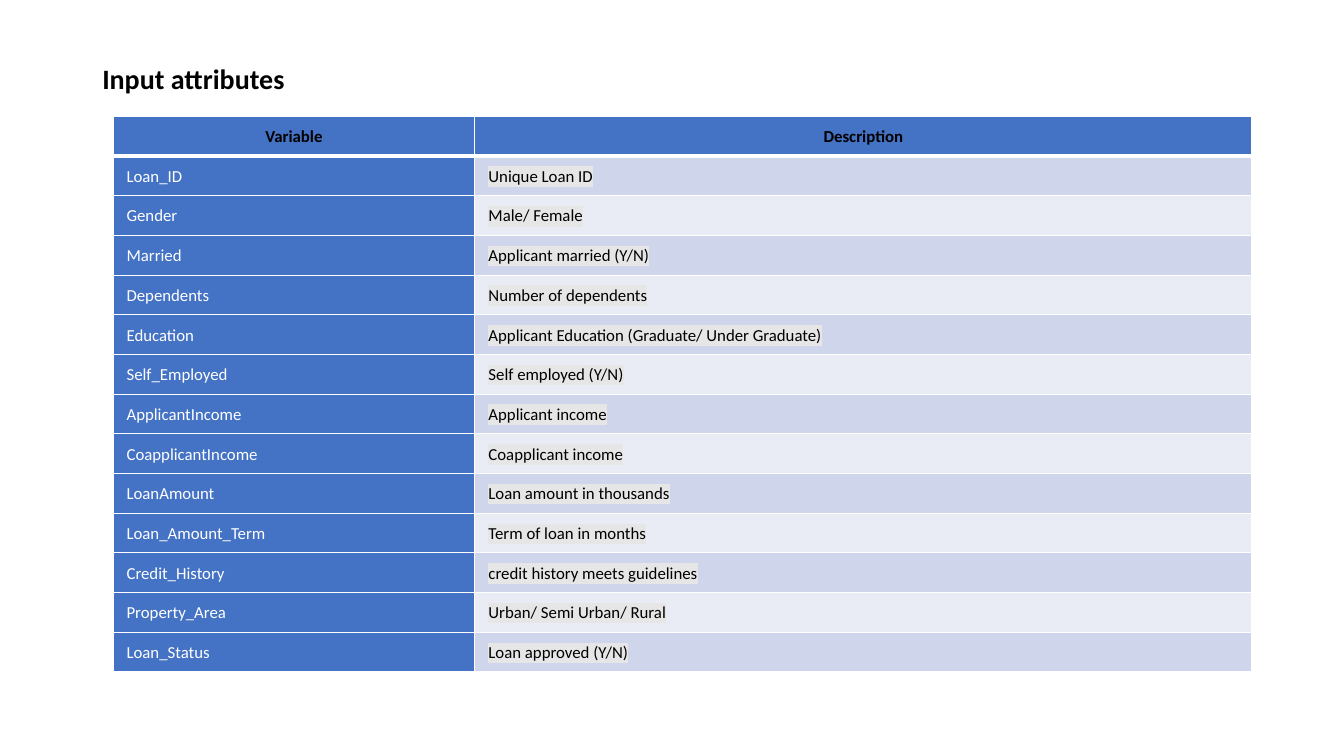
import pptx
import pptx.dml.color
import pptx.enum.text
import pptx.oxml
import pptx.oxml.ns
import pptx.util

Pt = pptx.util.Pt
FONT = "Calibri"
COLORS = {
    "black": "000000",
    "white": "FFFFFF",
    "blue": "4472C4",
    "band_dark": "CFD5EA",
    "band_light": "E9EBF5",
    "highlight": "E7E6E6",
}
ATTRIBUTES = [
    ("Variable", "Description"),
    ("Loan_ID", "Unique Loan ID"),
    ("Gender", "Male/ Female"),
    ("Married", "Applicant married (Y/N)"),
    ("Dependents", "Number of dependents"),
    ("Education", "Applicant Education (Graduate/ Under Graduate)"),
    ("Self_Employed", "Self employed (Y/N)"),
    ("ApplicantIncome", "Applicant income"),
    ("CoapplicantIncome", "Coapplicant income"),
    ("LoanAmount", "Loan amount in thousands"),
    ("Loan_Amount_Term", "Term of loan in months"),
    ("Credit_History", "credit history meets guidelines"),
    ("Property_Area", "Urban/ Semi Urban/ Rural"),
    ("Loan_Status", "Loan approved (Y/N)"),
]


def format_run(run, size, color, bold):
    run.font.name = FONT
    run.font.size = Pt(size)
    run.font.bold = bold
    run.font.color.rgb = pptx.dml.color.RGBColor.from_string(COLORS[color])


def solid_element(tag, color, attributes=""):
    namespace = pptx.oxml.ns.nsdecls("a")
    fill = f'<a:srgbClr val="{COLORS[color]}"/>'
    if tag != "highlight":
        fill = f"<a:solidFill>{fill}</a:solidFill>"
    return pptx.oxml.parse_xml(f"<a:{tag} {namespace} {attributes}>{fill}</a:{tag}>")


presentation = pptx.Presentation()
presentation.slide_width = Pt(960)
presentation.slide_height = Pt(540)
slide = presentation.slides.add_slide(presentation.slide_layouts[6])

# Title
title = slide.shapes.add_textbox(Pt(66), Pt(28.8), Pt(828), Pt(54))
title.text_frame.word_wrap = True
title.text_frame.vertical_anchor = pptx.enum.text.MSO_ANCHOR.MIDDLE
title.text_frame.text = "Input attributes"
format_run(title.text_frame.paragraphs[0].runs[0], 20, "black", True)

# Table grid
row_height = 28.35
table = slide.shapes.add_table(
    len(ATTRIBUTES), 2, Pt(80.7), Pt(83.1), Pt(813.6), Pt(row_height * len(ATTRIBUTES))
).table
table.columns[0].width = Pt(258.5)
table.columns[1].width = Pt(555.1)

for row_index, texts in enumerate(ATTRIBUTES):
    table.rows[row_index].height = Pt(row_height)
    is_header = row_index == 0
    for column_index, text in enumerate(texts):
        cell = table.cell(row_index, column_index)
        is_description = column_index == 1 and not is_header

        # Cell text
        cell.margin_left = cell.margin_right = Pt(9.75)
        cell.margin_top = cell.margin_bottom = Pt(4.5)
        cell.vertical_anchor = pptx.enum.text.MSO_ANCHOR.MIDDLE
        cell.text_frame.text = text
        paragraph = cell.text_frame.paragraphs[0]
        paragraph.line_spacing = 1.07
        paragraph.space_after = Pt(12)
        if is_header:
            paragraph.alignment = pptx.enum.text.PP_ALIGN.CENTER
        run = paragraph.runs[0]
        text_color = "black" if is_header or is_description else "white"
        format_run(run, 12, text_color, is_header)
        if is_description:
            run_fill = run.font.fill._xPr.find(pptx.oxml.ns.qn("a:solidFill"))
            run_fill.addnext(solid_element("highlight", "highlight"))

        # Cell fill: blue header and first column, banded descriptions
        band = "band_dark" if row_index % 2 else "band_light"
        fill_color = band if is_description else "blue"
        cell.fill.solid()
        cell.fill.fore_color.rgb = pptx.dml.color.RGBColor.from_string(COLORS[fill_color])

        # White borders, thicker below the header
        widths = {"lnL": 1, "lnR": 1, "lnT": 3 if row_index == 1 else 1, "lnB": 3 if is_header else 1}
        properties = cell._tc.get_or_add_tcPr()
        for position, (side, width) in enumerate(widths.items()):
            properties.insert(position, solid_element(side, "white", f'w="{Pt(width)}"'))

presentation.save("out.pptx")
